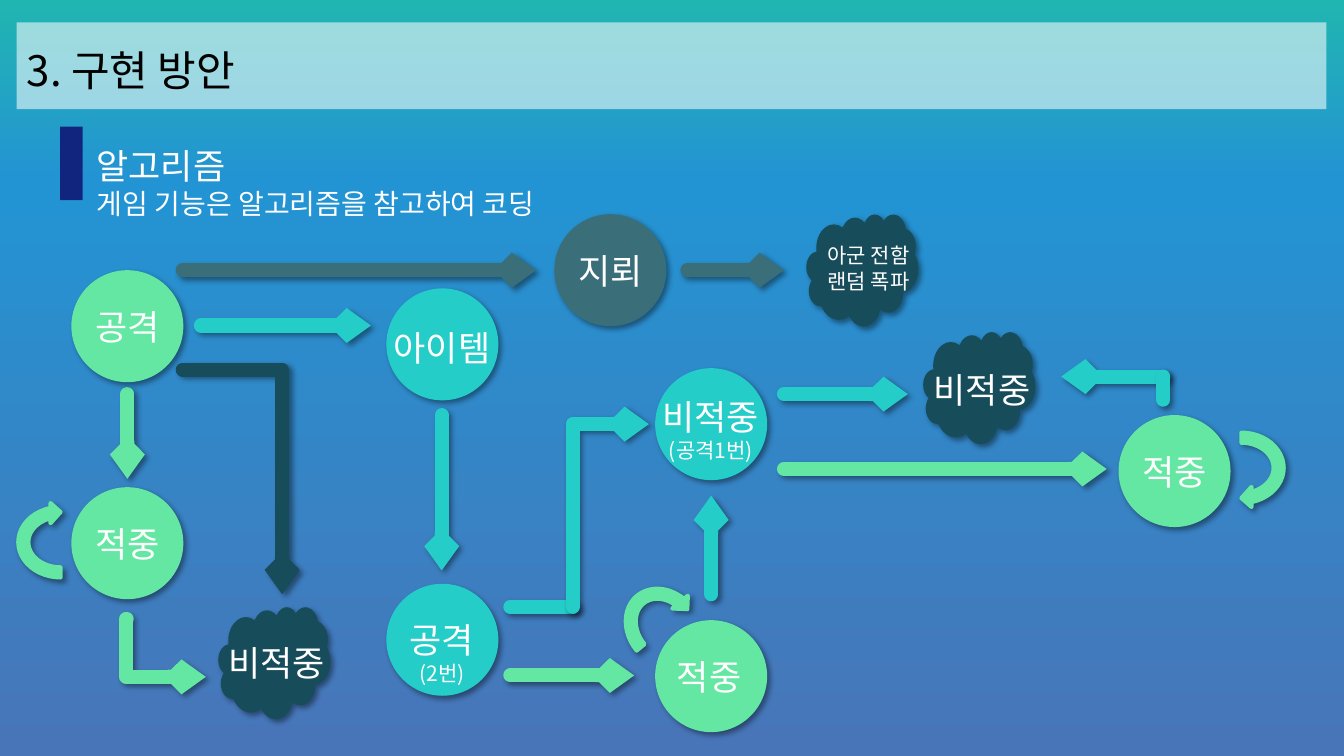
from lxml.etree import SubElement
from pptx import Presentation
from pptx.dml.color import RGBColor
from pptx.enum.shapes import MSO_CONNECTOR, MSO_SHAPE
from pptx.enum.text import PP_ALIGN
from pptx.oxml.ns import qn
from pptx.util import Pt

FONT = "Noto Sans CJK KR"
COLORS = {
    "sky_top": "21B5B1", "sky_middle": "2394D3", "sky_bottom": "4875B8",
    "white": "FFFFFF", "black": "000000", "navy": "12257E",
    "green": "63E7A2", "cyan": "25CDC9", "slate": "3A6F7A", "dark": "174C5A",
}
CIRCLE, CLOUD = MSO_SHAPE.OVAL, MSO_SHAPE.CLOUD
NODE_SIZE = 80
LARGE, SMALL = 25, 15

NODES = [
    (CIRCLE, "green", 0, 40, [("공격", LARGE)], 8, 21.5, 64),
    (CIRCLE, "green", 0, 195, [("적중", LARGE)], 8, 22, 64),
    (CLOUD, "dark", 105, 280.5, [("비적중", LARGE)], 0, 21.5, 83.5),
    (CIRCLE, "cyan", 225, 53, [("아이템", LARGE)], -3.5, 24, 86.5),
    (CIRCLE, "slate", 345, 0, [("지뢰", LARGE)], 8, 21.5, 64),
    (CLOUD, "dark", 525, 0, [("아군 전함", SMALL), ("랜덤 폭파", SMALL)], -12, 17, 113),
    (CIRCLE, "cyan", 225, 264, [("공격", LARGE), ("(2번)", SMALL)], -3.5, 21, 86.5),
    (CIRCLE, "cyan", 417, 110, [("비적중", LARGE), ("(공격1번)", SMALL)], -3.5, 16, 86.5),
    (CIRCLE, "green", 417, 290, [("적중", LARGE)], 6.5, 22, 64),
    (CLOUD, "dark", 608.5, 84, [("비적중", LARGE)], -5, 23, 94),
    (CIRCLE, "green", 748, 143.5, [("적중", LARGE)], -7, 22, 94),
]
LINES = [
    ("green", (40, 128.5), (40, 189), True),
    ("slate", (79.5, 40), (332, 40), True),
    ("cyan", (92.5, 79.5), (214, 79.5), True),
    ("slate", (440, 40), (509, 40), True),
    ("cyan", (264.5, 143.5), (264.5, 254.5), True),
    ("green", (313.5, 329.5), (402, 329.5), True),
    ("cyan", (313.5, 280.5), (358, 280.5), False),
    ("cyan", (780, 116), (707, 116), True),
    ("green", (509, 182), (739.5, 182), True),
    ("cyan", (509, 128.5), (597.5, 128.5), True),
    ("cyan", (780, 116), (780, 132.5), False),
    ("cyan", (457, 271.5), (457, 201), True),
]
ELBOWS = [
    ("dark", (79.5, 111), (150.5, 271.5), 270, 0),
    ("cyan", (358, 280.5), (412.5, 150), 90, 100000),
    ("green", (39.5, 289), (96, 330.5), 0, -600),
]
LOOPS = [(-36.5, 200.5, 270), (394.5, 262, 320.7), (807, 147.5, 90)]


def rgb(name):
    return RGBColor.from_string(COLORS[name])


def add_color(parent, name, alpha):
    color = SubElement(parent, qn("a:srgbClr"), val=COLORS[name])
    SubElement(color, qn("a:alpha"), val=str(alpha * 1000))


def add_shadow(item):
    effects = SubElement(item._element.spPr, qn("a:effectLst"))
    shadow = SubElement(effects, qn("a:outerShdw"), blurRad=str(Pt(4)),
                        dist=str(Pt(3)), dir="2700000", algn="tl", rotWithShape="0")
    add_color(shadow, "black", 40)


def add_text(page, lines, left, top, width, height, color="white",
             align=PP_ALIGN.LEFT, inset=3.6):
    box = page.shapes.add_textbox(Pt(left), Pt(top), Pt(width), Pt(height))
    frame = box.text_frame
    frame.word_wrap = True
    frame.margin_top = Pt(inset)
    for index, (text, size) in enumerate(lines):
        para = frame.paragraphs[0] if index == 0 else frame.add_paragraph()
        para.alignment = align
        span = para.add_run()
        span.text = text
        span.font.name = FONT
        span.font.size = Pt(size)
        span.font.color.rgb = rgb(color)
        SubElement(span.font._element, qn("a:ea"), typeface=FONT)


def add_block(page, kind, color, left, top, width, height):
    block = page.shapes.add_shape(kind, Pt(left), Pt(top), Pt(width), Pt(height))
    block.fill.solid()
    block.fill.fore_color.rgb = rgb(color)
    block.line.fill.background()
    return block


def add_arrow(page, color, begin, end, kind=MSO_CONNECTOR.STRAIGHT, head=True):
    arrow = page.shapes.add_connector(kind, *map(Pt, begin), *map(Pt, end))
    arrow.line.color.rgb = rgb(color)
    arrow.line.width = Pt(10)
    outline = arrow.line._get_or_add_ln()
    outline.set("cap", "rnd")
    SubElement(outline, qn("a:round"))
    if head:
        SubElement(outline, qn("a:tailEnd"), type="arrow", w="sm", len="sm")
    add_shadow(arrow)
    return arrow


def add_elbow(page, color, begin, end, turn, bend):
    across, down = end[0] - begin[0], end[1] - begin[1]
    middle = (begin[0] + across / 2, begin[1] + down / 2)
    if turn:
        sign = 1 if turn == 90 else -1
        across, down = sign * down, -sign * across
    elbow = add_arrow(page, color,
                      (middle[0] - across / 2, middle[1] - down / 2),
                      (middle[0] + across / 2, middle[1] + down / 2),
                      MSO_CONNECTOR.ELBOW)
    properties = elbow._element.spPr
    properties.find(qn("a:xfrm")).set("rot", str(turn * 60000))
    guides = properties.find(qn("a:prstGeom")).find(qn("a:avLst"))
    SubElement(guides, qn("a:gd"), name="adj1", fmla=f"val {bend}")


def add_loop(page, left, top, rotation):
    loop = add_block(page, MSO_SHAPE.CIRCULAR_ARROW, "green", left, top, 57.5, 67.5)
    loop.rotation = rotation
    loop.line.color.rgb = rgb("green")
    loop.line.width = Pt(3)
    SubElement(loop.line._get_or_add_ln(), qn("a:round"))
    add_shadow(loop)


def paint_background(page):
    fill = page.background.fill
    fill.gradient()
    fill.gradient_angle = 270
    stops = next(page._element.iter(qn("a:gsLst")))
    for stop in list(stops):
        stops.remove(stop)
    for position, color, alpha in [(0, "sky_top", 100), (24, "sky_middle", 90),
                                   (100, "sky_bottom", 100)]:
        add_color(SubElement(stops, qn("a:gs"), pos=str(position * 1000)), color, alpha)


def draw_title(page, left, top, width, height):
    band = add_block(page, MSO_SHAPE.RECTANGLE, "white", left, top, width, height)
    band.shadow.inherit = False
    color = next(band._element.spPr.iter(qn("a:srgbClr")))
    SubElement(color, qn("a:alpha"), val="56000")
    add_text(page, [("3. 구현 방안", 30)], left, top + 12, 189.5, 44, color="black")


def draw_heading(page, left, top, width):
    marker = add_block(page, MSO_SHAPE.RECTANGLE, "navy", left, top, 16, 52.5)
    marker.shadow.inherit = False
    add_text(page, [("알고리즘", LARGE)], left + 19, top + 9.5, width, 37.5)
    add_text(page, [("게임 기능은 알고리즘을 참고하여 코딩", 20)],
             left + 19, top + 16, width, 104.5, inset=26.5)


def draw_flow(page, left, top):
    def place(point):
        return left + point[0], top + point[1]

    for color, begin, end, head in LINES:
        add_arrow(page, color, place(begin), place(end), head=head)
    for color, begin, end, turn, bend in ELBOWS:
        add_elbow(page, color, place(begin), place(end), turn, bend)
    for x, y, rotation in LOOPS:
        add_loop(page, *place((x, y)), rotation)
    for kind, color, x, y, lines, shift, drop, width in NODES:
        node_left, node_top = place((x, y))
        add_shadow(add_block(page, kind, color, node_left, node_top, NODE_SIZE, NODE_SIZE))
        height = 7.5 + sum(size for _, size in lines) * 1.2
        add_text(page, lines, node_left + shift, node_top + drop, width, height,
                 align=PP_ALIGN.CENTER)


def main():
    deck = Presentation()
    deck.slide_width, deck.slide_height = Pt(960), Pt(540)
    page = deck.slides.add_slide(deck.slide_layouts[6])
    paint_background(page)
    draw_title(page, 12, 16, 935.5, 62)
    draw_heading(page, 43, 90.5, 398)
    draw_flow(page, 51, 153)
    deck.save("out.pptx")


if __name__ == "__main__":
    main()
